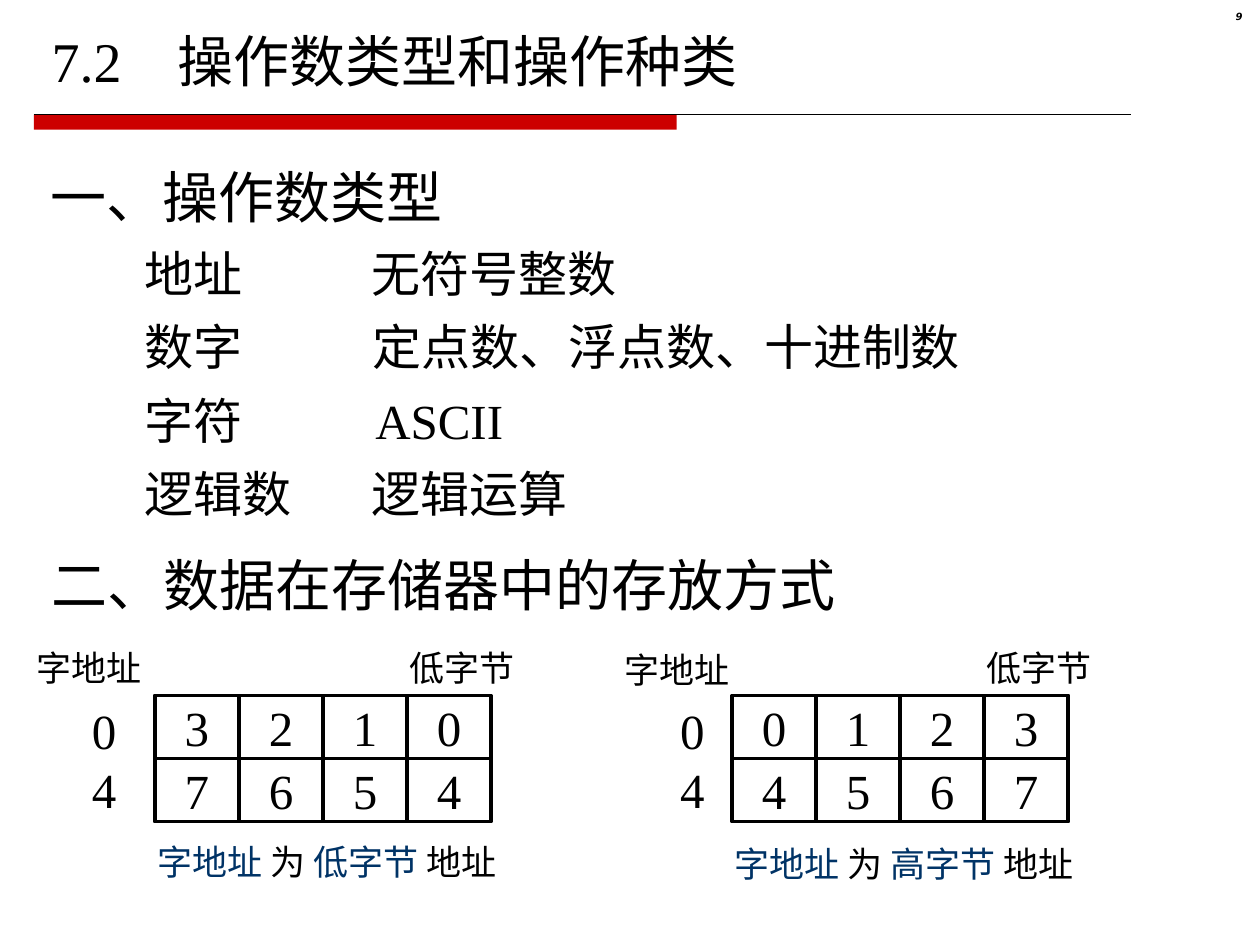
import pptx
import pptx.util
import pptx.dml.color
import pptx.enum.text
import pptx.enum.shapes
import pptx.oxml.ns
import lxml.etree

WIDE = pptx.util.Inches(10)
HIGH = pptx.util.Inches(7.5)
INKS = {"black": "000000", "red": "CC0000", "blue": "003366"}
FACE = "Times New Roman"
ALIGN = pptx.enum.text.PP_ALIGN
ANCHOR = pptx.enum.text.MSO_ANCHOR
SHAPE = pptx.enum.shapes.MSO_SHAPE
CELL = 6.67
TOP = 73.6

KINDS = [
    ("地址", "无符号整数", 28.5),
    ("数字", "定点数、浮点数、十进制数", 28.6),
    ("字符", "ASCII", 28.8),
    ("逻辑数", "逻辑运算", 28.5),
]
BANKS = [
    {"left": 12.3, "side": 1.9, "drop": 0, "rows": ["3210", "7654"], "end": "低字节"},
    {"left": 58.1, "side": 48.6, "drop": 0.27, "rows": ["0123", "4567"], "end": "高字节"},
]


def ink(name):
    return pptx.dml.color.RGBColor.from_string(INKS[name])


def apply(item, values):
    for name, value in values.items():
        setattr(item, name, value)


def across(share):
    return round(WIDE * share / 100)


def down(share):
    return round(HIGH * share / 100)


def spot(left, top, wide, high):
    return across(left), down(top), across(wide), down(high)


def write(shape, lines, size, wrap=False, align=ALIGN.LEFT, anchor=ANCHOR.TOP, **font):
    frame = shape.text_frame
    apply(frame, {
        "word_wrap": wrap,
        "auto_size": pptx.enum.text.MSO_AUTO_SIZE.NONE,
        "vertical_anchor": anchor,
    })
    for row, parts in enumerate(lines):
        para = frame.add_paragraph() if row else frame.paragraphs[0]
        para.alignment = align
        for text, color in parts:
            run = para.add_run()
            run.text = text
            apply(run.font, {"name": FACE, "size": pptx.util.Pt(size), **font})
            run.font.color.rgb = ink(color)
    return frame


def label(slide, place, text, size, **form):
    box = slide.shapes.add_textbox(*spot(*place))
    lines = [[(line, "black")] for line in text.split("\n")]
    return write(box, lines, size, **form)


def head(slide):
    title = slide.shapes.title
    apply(title, dict(zip(("left", "top", "width", "height"), spot(3.1, 2.13, 85, 11.47))))
    frame = write(title, [[("7.2\t操作数类型和操作种类", "black")]], 32, wrap=True)
    props = frame.paragraphs[0]._p.get_or_add_pPr()
    tag = pptx.oxml.ns.qn
    tabs = lxml.etree.SubElement(props, tag("a:tabLst"))
    stop = lxml.etree.SubElement(tabs, tag("a:tab"))
    stop.set("pos", str(pptx.util.Inches(1)))
    stop.set("algn", "l")


def rule(slide):
    bar = slide.shapes.add_shape(SHAPE.RECTANGLE, *spot(2.7, 12.13, 51, 1.6))
    bar.shadow.inherit = False
    bar.fill.solid()
    bar.fill.fore_color.rgb = ink("red")
    bar.line.fill.background()
    line = slide.shapes.add_connector(
        pptx.enum.shapes.MSO_CONNECTOR.STRAIGHT,
        across(2.7), down(12.13), across(89.8), down(12.13))
    line.line.color.rgb = ink("black")
    line.line.width = pptx.util.Pt(0.75)
    lxml.etree.SubElement(line._element.spPr, pptx.oxml.ns.qn("a:effectLst"))


def cell(slide, left, top, text):
    box = slide.shapes.add_shape(SHAPE.RECTANGLE, *spot(left, top, CELL, CELL))
    box.shadow.inherit = False
    box.fill.background()
    box.line.color.rgb = ink("black")
    box.line.width = pptx.util.Pt(2.25)
    write(box, [[(text, "black")]], 28, align=ALIGN.CENTER, anchor=ANCHOR.MIDDLE)


def bank(slide, left, side, drop, rows, end):
    for row, marks in enumerate(rows):
        for col, mark in enumerate(marks):
            cell(slide, left + col * CELL, TOP + row * CELL, mark)
    label(slide, (side, 67.73 + drop, 10.3, 5.87), "字地址", 20)
    label(slide, (side + 4.4, 73.47, 3.9, 13.87), "0\n4", 28)
    label(slide, (left + 19.2, 67.73, 13.3, 5.87), "低字节", 20, wrap=True)
    note = slide.shapes.add_textbox(*spot(left - 0.8, 88.27 + drop, 34, 5.87))
    parts = [("字地址 ", "blue"), ("为", "black"), (f" {end} ", "blue"), ("地址", "black")]
    write(note, [parts], 20, wrap=True)


def main():
    deck = pptx.Presentation()
    apply(deck, {"slide_width": WIDE, "slide_height": HIGH})
    slide = deck.slides.add_slide(deck.slide_layouts[5])
    rule(slide)
    head(slide)
    count = label(slide, (93.7, 0.67, 5.9, 3.07), "9", 5.7, wrap=True,
                  align=ALIGN.RIGHT, name="DejaVu Sans", bold=True, italic=True)
    count.paragraphs[0].line_spacing = 0.8
    label(slide, (3, 16.53, 33.1, 8.53), "一、操作数类型", 32)
    for row, (kind, value, left) in enumerate(KINDS):
        top = 25.07 + row * 7.78
        label(slide, (10.5, top, 3.9 * len(kind) + 2, 7.6), kind, 28)
        wide = 12.1 if value.isascii() else 3.89 * len(value) + 2
        label(slide, (left, top, wide, 7.6), value, 28)
    label(slide, (3.1, 57.6, 64.3, 8.53), "二、数据在存储器中的存放方式", 32)
    for item in BANKS:
        bank(slide, **item)
    deck.save("out.pptx")


if __name__ == "__main__":
    main()
